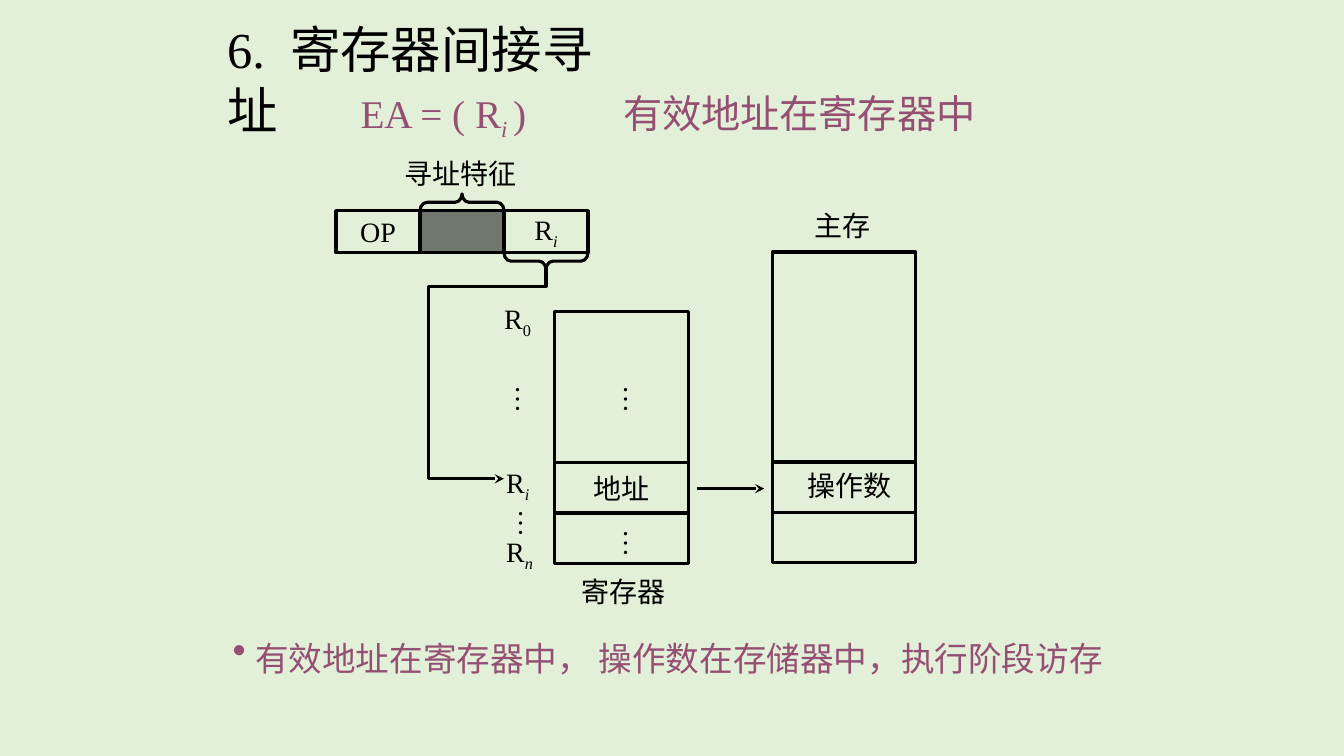
import lxml.etree
import pptx
import pptx.dml.color
import pptx.enum.dml
import pptx.enum.lang
import pptx.enum.shapes
import pptx.enum.text
import pptx.oxml.ns
import pptx.util

Pt = pptx.util.Pt
SHAPES = pptx.enum.shapes.MSO_SHAPE
ANCHOR = pptx.enum.text.MSO_ANCHOR
ALIGN = pptx.enum.text.PP_ALIGN
AUTO_SIZE = pptx.enum.text.MSO_AUTO_SIZE
BLACK = "000000"
PLUM = "954F72"
SUBSCRIPT = {"baseline": "-25000"}
INDEX_I = ("i", {"italic": True}, SUBSCRIPT)
INDEX_N = ("n", {"italic": True}, SUBSCRIPT)
INDEX_0 = ("0", {}, SUBSCRIPT)


def color(value):
    """Return the colour for a hex string."""
    return pptx.dml.color.RGBColor.from_string(value)


def set_values(target, values):
    """Set each attribute in values on target."""
    for name, value in values.items():
        setattr(target, name, value)


def add_element(parent, tag, **attributes):
    """Append a DrawingML element to parent."""
    return lxml.etree.SubElement(parent, pptx.oxml.ns.qn(tag), attributes)


def write_runs(paragraph, runs, size, text_color):
    """Write runs given as text, or as (text, font values, XML attributes)."""
    for item in runs:
        text, values, attributes = (item, {}, {}) if isinstance(item, str) else item
        run = paragraph.add_run()
        run.text = text
        language = pptx.enum.lang.MSO_LANGUAGE_ID.SIMPLIFIED_CHINESE
        set_values(run.font, {"name": "Times New Roman", "size": Pt(size),
                              "language_id": language, **values})
        run.font.color.rgb = color(text_color)
        for name, value in attributes.items():
            run._r.get_or_add_rPr().set(name, value)


def set_title(slide, box, runs):
    """Place and format the title placeholder."""
    title = slide.shapes.title
    set_values(title, dict(zip(("left", "top", "width", "height"), map(Pt, box))))
    set_values(title.text_frame, {"word_wrap": True, "auto_size": AUTO_SIZE.NONE,
                                  "vertical_anchor": ANCHOR.TOP})
    paragraph = title.text_frame.paragraphs[0]
    paragraph.alignment = ALIGN.LEFT
    write_runs(paragraph, runs, 36, BLACK)


def add_label(slide, box, runs, size=20, text_color=BLACK, wrap=False, bullet=None):
    """Add a text box and return it."""
    label = slide.shapes.add_textbox(*map(Pt, box))
    set_values(label.text_frame, {"word_wrap": wrap,
                                  "auto_size": AUTO_SIZE.SHAPE_TO_FIT_TEXT})
    paragraph = label.text_frame.paragraphs[0]
    if bullet:
        add_element(paragraph._p.get_or_add_pPr(), "a:buChar", char=bullet)
    write_runs(paragraph, runs, size, text_color)
    return label


def add_ellipsis(slide, left, top):
    """Add a vertical ellipsis."""
    label = add_label(slide, (left, top, 39, 27.5), ["…"])
    label.text_frame._txBody.bodyPr.set("vert", "eaVert")


def draw_outline(shape, arrow=False):
    """Give a shape or connector a black line, with an arrowhead if asked."""
    shape.line.color.rgb = color(BLACK)
    shape.line.width = Pt(2.25)
    if arrow:
        line = shape._element.spPr.find(pptx.oxml.ns.qn("a:ln"))
        add_element(line, "a:tailEnd", type="stealth")


def add_outline_shape(slide, kind, box, runs=()):
    """Add an unfilled preset shape with centred text."""
    shape = slide.shapes.add_shape(kind, *map(Pt, box))
    shape.shadow.inherit = False
    shape.fill.background()
    draw_outline(shape)
    set_values(shape.text_frame, {"word_wrap": False, "vertical_anchor": ANCHOR.MIDDLE})
    paragraph = shape.text_frame.paragraphs[0]
    paragraph.alignment = ALIGN.CENTER
    write_runs(paragraph, runs, 20, BLACK)
    return shape


def add_brace(slide, left, top, rotation):
    """Add a brace turned to span one instruction field."""
    brace = add_outline_shape(slide, SHAPES.LEFT_BRACE, (left, top, 12, 60))
    brace.rotation = rotation
    brace.adjustments[0] = 0.417
    brace.adjustments[1] = 0.5


def add_line(slide, start, end, arrow=False):
    """Add a straight line between two points."""
    kind = pptx.enum.shapes.MSO_CONNECTOR.STRAIGHT
    connector = slide.shapes.add_connector(kind, *map(Pt, start + end))
    draw_outline(connector, arrow)
    add_element(connector._element.spPr, "a:effectLst")


def add_bent_arrow(slide, points):
    """Add an open line through points that ends in an arrowhead."""
    corners = [(Pt(x), Pt(y)) for x, y in points]
    builder = slide.shapes.build_freeform(*corners[0])
    builder.add_line_segments(corners[1:], close=False)
    arrow = builder.convert_to_shape()
    arrow.shadow.inherit = False
    arrow.fill.background()
    draw_outline(arrow, True)


def add_instruction(slide):
    """Draw the instruction word with its braces."""
    fields = [add_outline_shape(slide, SHAPES.RECTANGLE, (240 + 60 * column, 150.5, 60, 30), runs)
              for column, runs in enumerate((["OP"], [], ["R", INDEX_I]))]
    mode_field = fields[1]
    mode_field.fill.solid()
    mode_field.fill.fore_color.rgb = color(BLACK)
    fill = mode_field._element.spPr.find(pptx.oxml.ns.qn("a:solidFill"))
    add_element(fill[0], "a:alpha", val="50000")
    add_brace(slide, 324, 114.5, 90)
    add_brace(slide, 384, 156.5, 270)
    add_label(slide, (282, 108, 95, 31), ["寻址特征"])


def add_registers(slide):
    """Draw the register file with its row labels."""
    top = 222.5
    for height, runs in ((108, []), (36, ["地址"]), (36, [])):
        add_outline_shape(slide, SHAPES.RECTANGLE, (396, top, 96, height), runs)
        top += height
    for left, top in ((430.5, 268), (430.5, 371.5), (353.5, 268), (355.5, 357)):
        add_ellipsis(slide, left, top)
    for left, top, index in ((353, 211.5, INDEX_0), (354.5, 329, INDEX_I), (354.5, 378, INDEX_N)):
        add_label(slide, (left, top, 34, 31), ["R", index])
    add_label(slide, (408, 407, 102, 31), ["寄存器"], wrap=True)


def add_main_memory(slide):
    """Draw the main memory block."""
    left, width = 552, 102
    add_outline_shape(slide, SHAPES.RECTANGLE, (left, 180, width, 222))
    for y in (330, 366):
        add_line(slide, (left, y), (left + width, y))
    add_label(slide, (570, 331, 75, 31), ["操作数"])
    add_label(slide, (574.5, 145.5, 55, 31), ["主存"])


def main():
    """Build the slide and save it."""
    presentation = pptx.Presentation()
    set_values(presentation, {"slide_width": Pt(960), "slide_height": Pt(540)})
    slide = presentation.slides.add_slide(presentation.slide_layouts[5])
    slide.background.fill.solid()
    slide.background.fill.fore_color.rgb = color("E2F0D9")
    set_title(slide, (155, 9.5, 303, 50.5), ["6.", (" ", {}, {"spc": "900"}), "寄存器间接寻址"])
    add_label(slide, (250.5, 60, 140, 41), ["EA = ( R", ("i ", {"italic": True}, SUBSCRIPT), ")"],
              28, PLUM)
    add_label(slide, (438, 60, 270, 41), ["有效地址在寄存器中"], 28, PLUM, True)
    add_instruction(slide)
    add_registers(slide)
    add_main_memory(slide)
    add_bent_arrow(slide, [(390, 192.5), (390, 204.5), (306, 204.5), (306, 342), (360, 342)])
    add_line(slide, (498, 349), (546, 349), True)
    summary = "有效地址在寄存器中， 操作数在存储器中，执行阶段访存"
    add_label(slide, (159, 448, 666, 41), [" ", (summary, {"size": Pt(24)}, {})],
              28, PLUM, True, "•")
    presentation.save("out.pptx")


if __name__ == "__main__":
    main()
